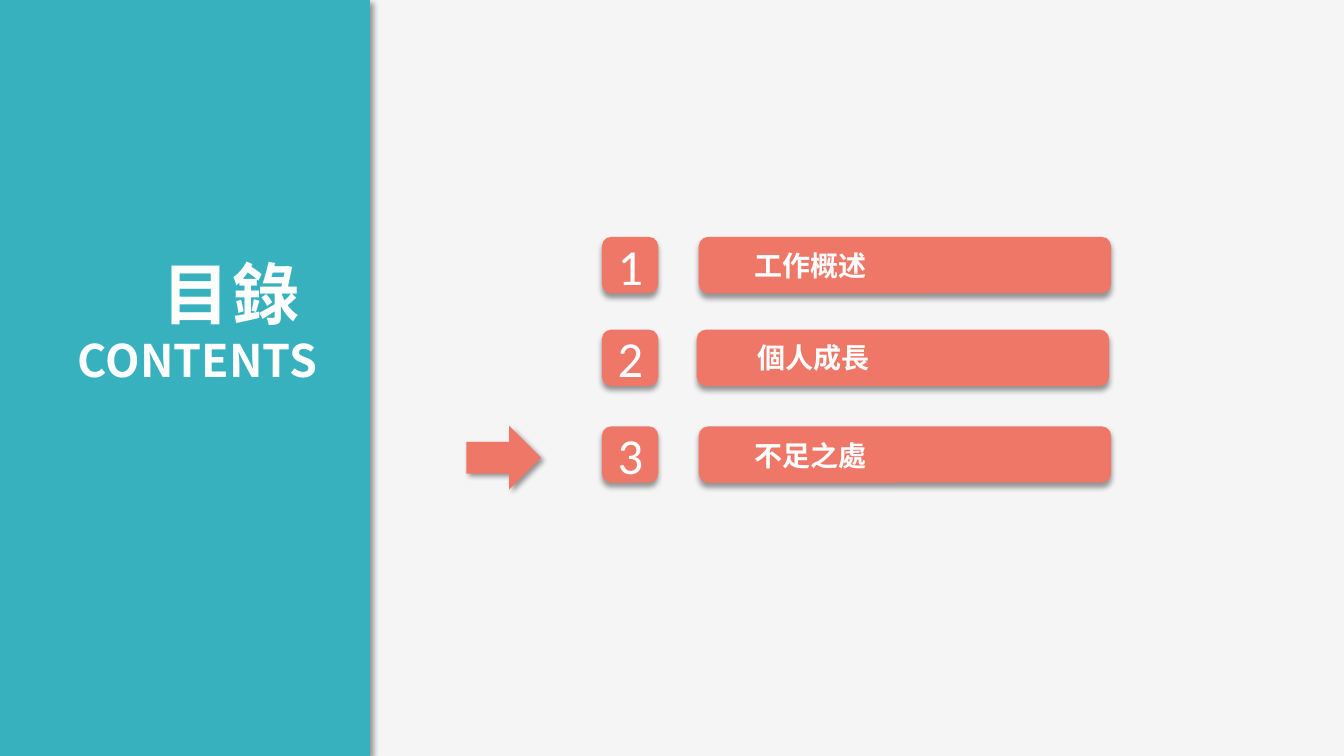
"""Build a contents slide with a side panel, numbered bars and a marker arrow."""
from dataclasses import dataclass
from typing import Any, Optional

from lxml.etree import SubElement as Sub
from pptx import Presentation
from pptx.dml.color import RGBColor as RGB
from pptx.enum.shapes import MSO_SHAPE as Shp
from pptx.enum.text import MSO_ANCHOR as Anchor, MSO_AUTO_SIZE as Auto, PP_ALIGN as Align
from pptx.oxml.ns import qn
from pptx.util import Inches, Pt


@dataclass(frozen=True)
class Theme:
    """Colours, fonts and type sizes."""
    background: str = "F5F5F5"
    panel: str = "38B1BF"
    accent: str = "EF7768"
    text: str = "FFFFFF"
    shadow: str = "000000"
    digit_font: str = "Calibri"
    text_font: str = "Noto Sans CJK SC"
    digit_size: int = 36
    label_size: int = 20
    title_size: int = 48
    subtitle_size: int = 32


@dataclass(frozen=True)
class Box:
    """Position and size in inches."""
    x: float
    y: float
    w: float
    h: float


@dataclass(frozen=True)
class Line:
    """One paragraph with its type."""
    text: str
    size: int
    font: str
    bold: bool = False
    align: Optional[Align] = None
    spacing: int = 0


@dataclass(frozen=True)
class Entry:
    """One row of the contents."""
    label: str
    y: float
    bar_x: float
    label_x: float
    label_y: float
    label_w: float


THEME = Theme()
BUTTON = 0.56
ENTRIES = (
    Entry("工作概述", 2.35, 6.93, 7.35, 2.4, 2.9),
    Entry("個人成長", 3.27, 6.91, 7.38, 3.31, 2.9),
    Entry("不足之處", 4.23, 6.93, 7.35, 4.28, 2.99),
)


def apply(target: Any, values: dict[str, Any]) -> None:
    """Set each named attribute on the target."""
    for name, value in values.items():
        setattr(target, name, value)


def place(box: Box) -> tuple[int, ...]:
    """Convert a box to lengths."""
    return tuple(Inches(v) for v in (box.x, box.y, box.w, box.h))


def add_shadow(sp: Any, angle: int) -> None:
    """Give a shape a soft outer shadow."""
    sp.shadow.inherit = False
    effects = sp._element.spPr.find(qn("a:effectLst"))
    outer = Sub(effects, qn("a:outerShdw"), blurRad=str(Pt(4)), dist=str(Pt(3)),
                dir=str(angle * 60000), algn="ctr", rotWithShape="0")
    colour = Sub(outer, qn("a:srgbClr"), val=THEME.shadow)
    Sub(colour, qn("a:alpha"), val="40000")


def add_block(shapes: Any, kind: Shp, box: Box, fill: str, angle: int) -> Any:
    """Draw a filled, borderless shape with a shadow."""
    sp = shapes.add_shape(kind, *place(box))
    sp.fill.solid()
    sp.fill.fore_color.rgb = RGB.from_string(fill)
    sp.line.fill.background()
    add_shadow(sp, angle)
    return sp


def write(sp: Any, lines: tuple[Line, ...], anchor: Anchor, auto: Auto) -> None:
    """Fill a shape with formatted paragraphs."""
    tf = sp.text_frame
    apply(tf, {"word_wrap": True, "auto_size": auto, "vertical_anchor": anchor,
               "margin_left": Inches(0.13), "margin_right": Inches(0.13),
               "margin_top": Inches(0.07), "margin_bottom": Inches(0.07)})
    for i, line in enumerate(lines):
        p = tf.add_paragraph() if i else tf.paragraphs[0]
        p.alignment = line.align
        r = p.add_run()
        r.text = line.text
        apply(r.font, {"name": line.font, "size": Pt(line.size), "bold": line.bold})
        r.font.color.rgb = RGB.from_string(THEME.text)
        props = r._r.get_or_add_rPr()
        props.set("spc", str(line.spacing * 100))
        Sub(props, qn("a:ea"), typeface=line.font)


def add_text(shapes: Any, box: Box, *lines: Line) -> None:
    """Add a text box that grows with its text."""
    write(shapes.add_textbox(*place(box)), lines, Anchor.TOP, Auto.SHAPE_TO_FIT_TEXT)


def add_entry(shapes: Any, number: int, entry: Entry) -> None:
    """Draw a numbered button and its labelled bar."""
    button = add_block(shapes, Shp.ROUNDED_RECTANGLE,
                       Box(5.97, entry.y, BUTTON, BUTTON), THEME.accent, 90)
    digit = Line(str(number), THEME.digit_size, THEME.digit_font, align=Align.CENTER)
    write(button, (digit,), Anchor.MIDDLE, Auto.NONE)
    group = shapes.add_group_shape().shapes
    add_block(group, Shp.ROUNDED_RECTANGLE,
              Box(entry.bar_x, entry.y, 4.09, BUTTON), THEME.accent, 90)
    add_text(group, Box(entry.label_x, entry.label_y, entry.label_w, 0.47),
             Line(entry.label, THEME.label_size, THEME.text_font, True))


def main() -> None:
    """Build and save the slide."""
    prs = Presentation()
    apply(prs, {"slide_width": Inches(13.33), "slide_height": Inches(7.5)})
    s = prs.slides.add_slide(prs.slide_layouts[6])
    s.background.fill.solid()
    s.background.fill.fore_color.rgb = RGB.from_string(THEME.background)
    for number, entry in enumerate(ENTRIES, 1):
        add_entry(s.shapes, number, entry)
    add_block(s.shapes, Shp.RECTANGLE, Box(-0.12, 0, 3.79, 7.5), THEME.panel, 45)
    add_text(s.shapes, Box(0.21, 2.43, 3.07, 1.48),
             Line("目錄 ", THEME.title_size, THEME.text_font, True, Align.RIGHT, 2),
             Line("CONTENTS", THEME.subtitle_size, THEME.text_font, True, Align.RIGHT))
    arrow = add_block(s.shapes, Shp.DOWN_ARROW, Box(4.68, 4.17, 0.63, 0.74),
                      THEME.accent, 45)
    arrow.rotation = 270
    prs.save("out.pptx")


if __name__ == "__main__":
    main()
